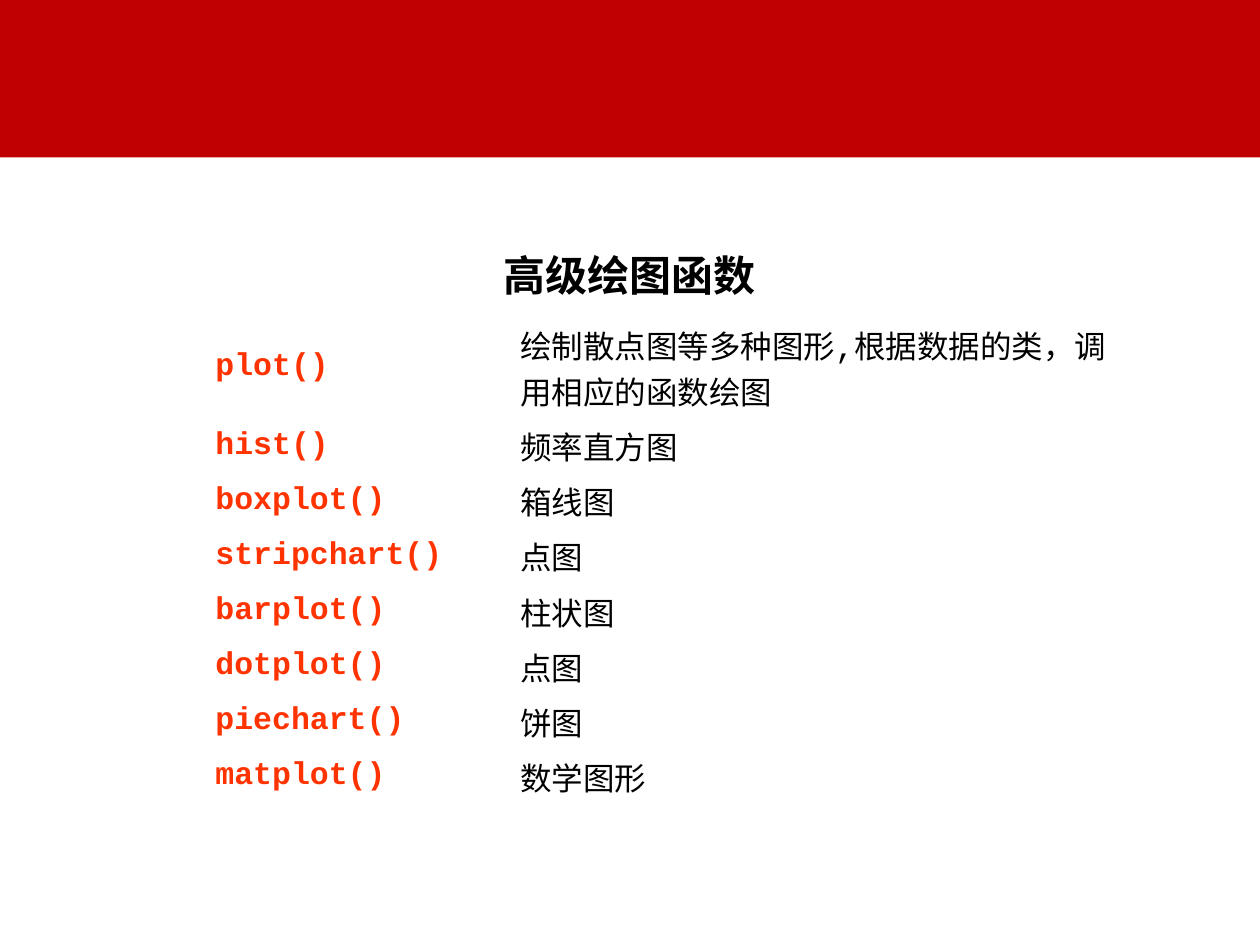
from pptx import Presentation
from pptx.dml.color import RGBColor
from pptx.enum.shapes import MSO_SHAPE
from pptx.enum.text import MSO_ANCHOR, PP_ALIGN
from pptx.oxml.ns import qn
from pptx.util import Inches, Pt

RED = RGBColor(0xC0, 0x00, 0x00)
ORANGE = RGBColor(0xFF, 0x33, 0x00)
BLACK = RGBColor(0x00, 0x00, 0x00)
FACE = "Courier New"
NO_GRID = "{2D5ABB26-0587-4C30-8999-92F81FD0307C}"
ROWS = [
    ("plot()", "绘制散点图等多种图形,根据数据的类，调用相应的函数绘图"),
    ("hist()", "频率直方图"),
    ("boxplot()", "箱线图"),
    ("stripchart()", "点图"),
    ("barplot()", "柱状图"),
    ("dotplot()", "点图"),
    ("piechart()", "饼图"),
    ("matplot()", "数学图形"),
]


def style(para, size, color, bold):
    """Set the font of a whole paragraph."""
    font = para.font
    font.name, font.size, font.bold = FACE, Pt(size), bold
    font.color.rgb = color


def add_band(slide, left, top, width, height):
    """Draw the plain red band."""
    band = slide.shapes.add_shape(
        MSO_SHAPE.RECTANGLE, Inches(left), Inches(top), Inches(width), Inches(height))
    band.shadow.inherit = False
    band.fill.solid()
    band.fill.fore_color.rgb = RED
    band.line.fill.background()


def add_title(slide, left, top, width, height):
    """Place the centred heading."""
    box = slide.shapes.add_textbox(
        Inches(left), Inches(top), Inches(width), Inches(height))
    frame = box.text_frame
    frame.word_wrap = True
    frame.vertical_anchor = MSO_ANCHOR.MIDDLE
    para = frame.paragraphs[0]
    para.text = "高级绘图函数"
    para.alignment = PP_ALIGN.CENTER
    para.line_spacing = 1.5
    style(para, 24, BLACK, True)


def fill_cell(cell, text, color, bold):
    """Write one clear table cell."""
    cell.fill.background()
    cell.vertical_anchor = MSO_ANCHOR.MIDDLE
    cell.margin_left = cell.margin_right = Inches(0.07)
    cell.margin_top = cell.margin_bottom = Inches(0.04)
    para = cell.text_frame.paragraphs[0]
    para.text = text
    style(para, 18, color, bold)


def add_list(slide, left, top, width, height):
    """Place the table of functions, with a taller first row for two lines."""
    frame = slide.shapes.add_table(
        len(ROWS), 2, Inches(left), Inches(top), Inches(width), Inches(height))
    table = frame.table
    table.first_row = table.horz_banding = False
    frame._element.find(".//" + qn("a:tableStyleId")).text = NO_GRID
    table.columns[0].width = Inches(width / 3)
    table.columns[1].width = Inches(width * 2 / 3)
    first = 0.81
    rest = (height - first) / (len(ROWS) - 1)
    for num, (name, note) in enumerate(ROWS):
        table.rows[num].height = Inches(rest if num else first)
        fill_cell(table.cell(num, 0), name, ORANGE, True)
        fill_cell(table.cell(num, 1), note, BLACK, False)


def main():
    """Build and save the slide."""
    deck = Presentation()
    deck.slide_width, deck.slide_height = Inches(10), Inches(7.5)
    slide = deck.slides.add_slide(deck.slide_layouts[6])
    add_band(slide, 0, 0, 10, 1.25)
    add_title(slide, 0, 1.71, 10, 0.74)
    add_list(slide, 1.64, 2.51, 7.26, 3.87)
    deck.save("out.pptx")


if __name__ == "__main__":
    main()
